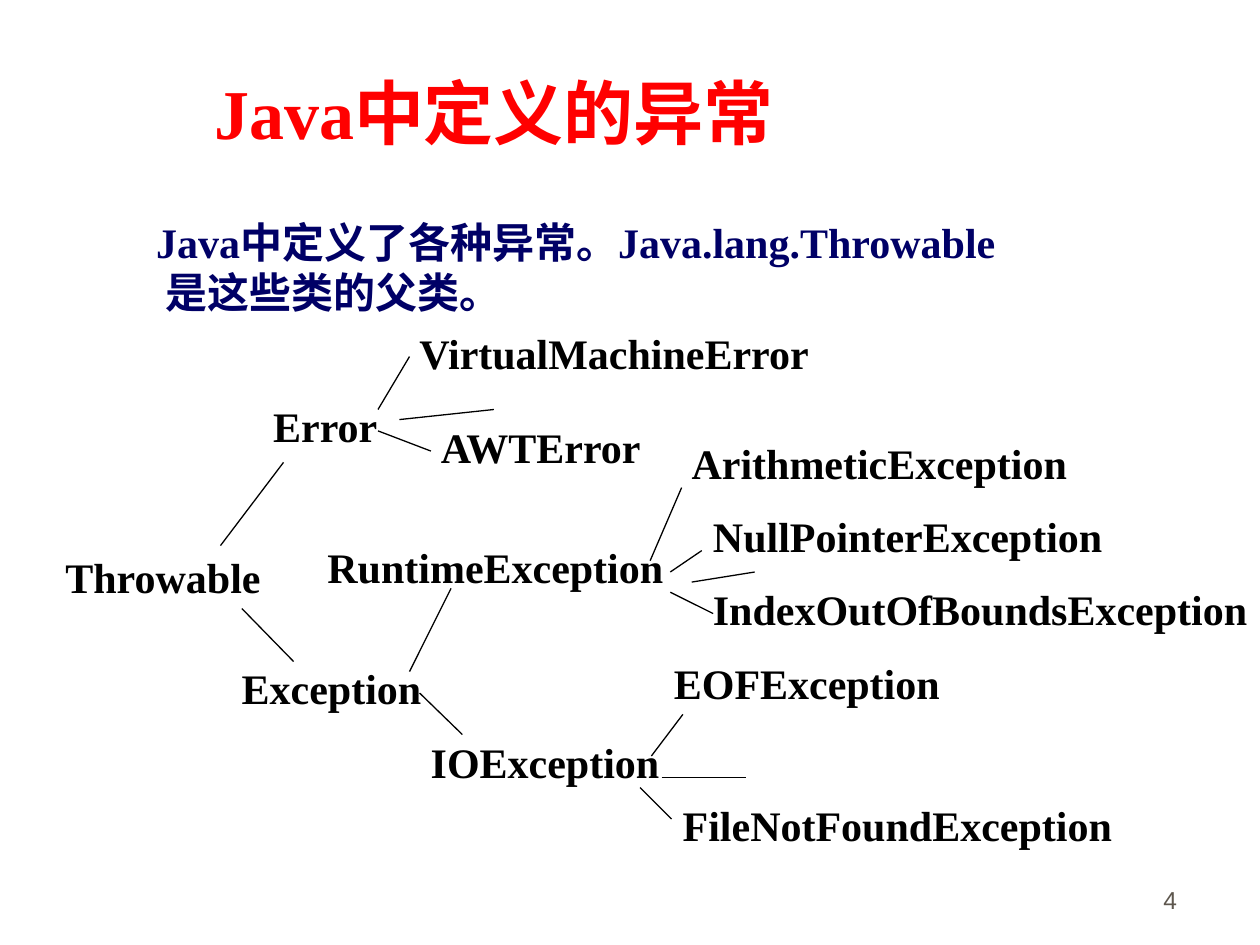
from lxml.etree import SubElement
from pptx import Presentation
from pptx.dml.color import RGBColor
from pptx.enum.shapes import MSO_CONNECTOR
from pptx.enum.text import MSO_ANCHOR, MSO_AUTO_SIZE, PP_ALIGN
from pptx.oxml.ns import qn
from pptx.util import Inches, Pt

COLORS = {"title": "FF0000", "intro": "000066", "tree": "000000", "number": "5E574E"}
SERIF, SANS = "Times New Roman", "Arial"
LABEL_HEIGHT = 0.5

TITLE = "Java中定义的异常"
INTRO = ["Java中定义了各种异常。Java.lang.Throwable", " 是这些类的父类。"]
PAGE_NUMBER = "4"

# class name: left, top, width
CLASSES = {
    "Throwable": (0.42, 4.33, 1.75),
    "Error": (2.07, 3.13, 1.03),
    "VirtualMachineError": (3.23, 2.55, 3.31),
    "AWTError": (3.4, 3.3, 1.83),
    "Exception": (1.82, 5.21, 1.62),
    "RuntimeException": (2.5, 4.25, 2.86),
    "ArithmeticException": (5.39, 3.42, 3.18),
    "NullPointerException": (5.56, 4, 3.29),
    "IndexOutOfBoundsException": (5.56, 4.58, 4.44),
    "IOException": (3.32, 5.8, 2.01),
    "EOFException": (5.25, 5.17, 2.31),
    "FileNotFoundException": (5.32, 6.3, 3.61),
}

# parent class: branches as start x, start y, end x, end y
BRANCHES = {
    "Throwable": [(1.75, 4.33, 2.25, 3.67), (1.92, 4.83, 2.33, 5.25)],
    "Error": [(3, 3.25, 3.25, 2.83), (3.17, 3.33, 3.92, 3.25), (3, 3.42, 3.42, 3.58)],
    "Exception": [(3.25, 5.33, 3.58, 4.67), (3.33, 5.5, 3.67, 5.83)],
    "RuntimeException": [(5.16, 4.45, 5.41, 3.87), (5.32, 4.54, 5.57, 4.37),
                         (5.49, 4.62, 5.99, 4.54), (5.32, 4.7, 5.66, 4.87)],
    "IOException": [(5.17, 6, 5.42, 5.67), (5.25, 6.17, 5.92, 6.17),
                    (5.08, 6.25, 5.33, 6.5)],
}


def write(frame, lines, size, color, font=SERIF, bold=True, align=PP_ALIGN.LEFT,
          anchor=MSO_ANCHOR.TOP, wrap=False):
    frame.word_wrap = wrap
    frame.auto_size = MSO_AUTO_SIZE.NONE
    frame.vertical_anchor = anchor
    for index, line in enumerate(lines):
        paragraph = frame.add_paragraph() if index else frame.paragraphs[0]
        paragraph.alignment = align
        run = paragraph.add_run()
        run.text = line
        run.font.name = font
        run.font.size = Pt(size)
        run.font.bold = bold
        run.font.color.rgb = RGBColor.from_string(COLORS[color])


def add_text(slide, box, lines, size, color, **style):
    label = slide.shapes.add_textbox(*map(Inches, box))
    write(label.text_frame, lines, size, color, **style)


def add_branch(slide, ends):
    branch = slide.shapes.add_connector(MSO_CONNECTOR.STRAIGHT, *map(Inches, ends))
    branch.line.width = Pt(0.75)
    branch.line.color.rgb = RGBColor.from_string(COLORS["tree"])
    SubElement(branch._element.spPr, qn("a:effectLst"))


def main():
    deck = Presentation()
    deck.slide_width, deck.slide_height = Inches(10), Inches(7.5)
    slide = deck.slides.add_slide(deck.slide_layouts[5])

    title = slide.shapes.title
    title.left, title.top, title.width, title.height = map(Inches, (1.6, 0.5, 5, 0.77))
    write(title.text_frame, [TITLE], 40, "title", wrap=True)

    add_text(slide, (1.14, 1.67, 7.48, 0.9), INTRO, 24, "intro", wrap=True)
    for name, (left, top, width) in CLASSES.items():
        add_text(slide, (left, top, width, LABEL_HEIGHT), [name], 24, "tree")
    for branches in BRANCHES.values():
        for ends in branches:
            add_branch(slide, ends)
    add_text(slide, (7.36, 6.81, 2.08, LABEL_HEIGHT), [PAGE_NUMBER], 14, "number",
             font=SANS, bold=False, align=PP_ALIGN.RIGHT, anchor=MSO_ANCHOR.BOTTOM,
             wrap=True)

    deck.save("out.pptx")


if __name__ == "__main__":
    main()
